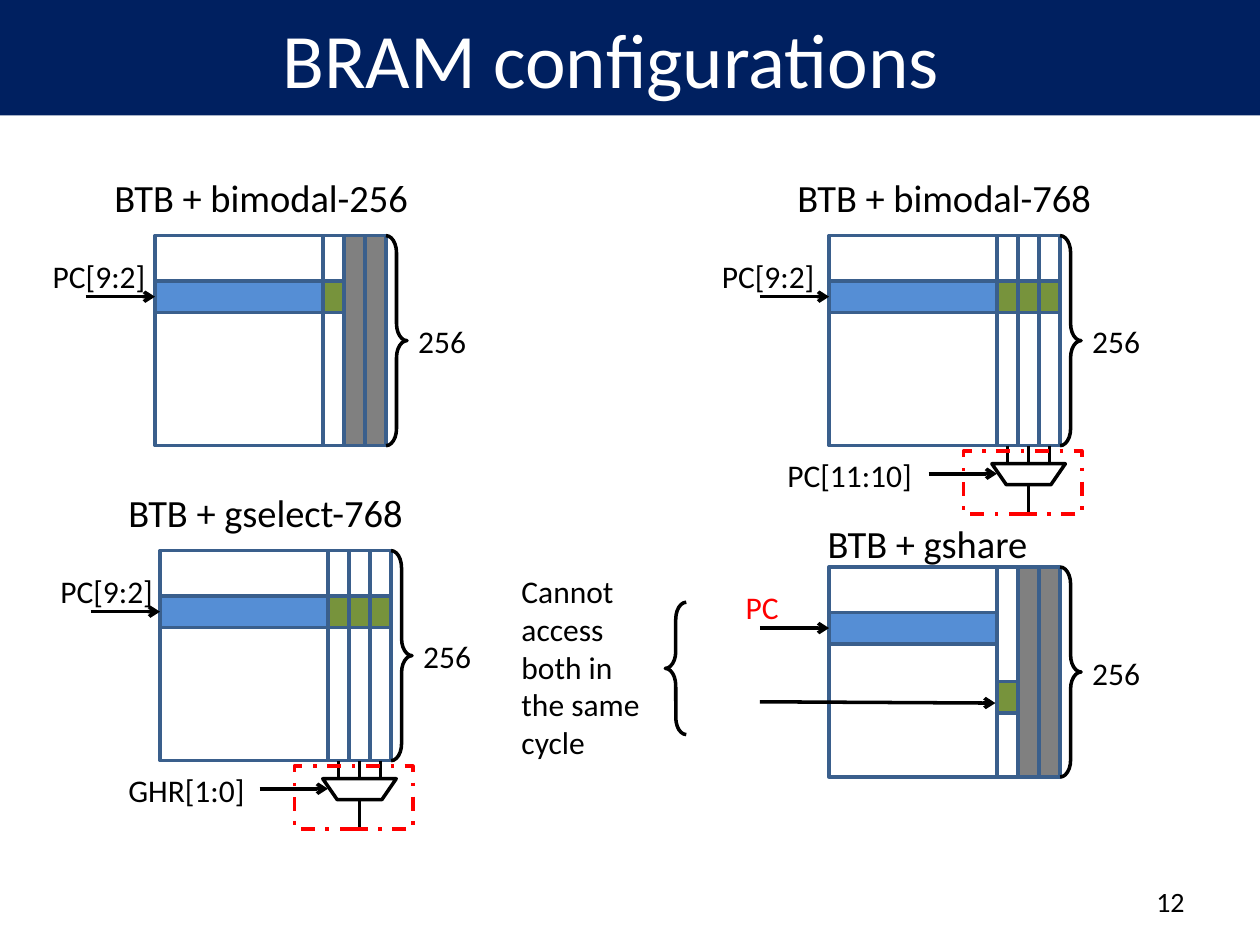
from pptx import Presentation
from pptx.dml.color import RGBColor
from pptx.enum.dml import MSO_LINE
from pptx.enum.shapes import MSO_CONNECTOR, MSO_SHAPE
from pptx.enum.text import MSO_ANCHOR, PP_ALIGN
from pptx.oxml.ns import qn
from pptx.util import Inches, Pt
from lxml import etree

RECTANGLE, BRACE, TRAPEZOID = MSO_SHAPE.RECTANGLE, MSO_SHAPE.LEFT_BRACE, MSO_SHAPE.TRAPEZOID
STRAIGHT, DASH_DOT = MSO_CONNECTOR.STRAIGHT, MSO_LINE.DASH_DOT
LEFT, CENTER, RIGHT = PP_ALIGN.LEFT, PP_ALIGN.CENTER, PP_ALIGN.RIGHT
TOP, MIDDLE = MSO_ANCHOR.TOP, MSO_ANCHOR.MIDDLE
LEFT_SIDE = 1

THEME = {
    "font": "Calibri", "title": 44, "heading": 22, "label": 18, "number": 16, "line": 2,
    "navy": "002060", "white": "FFFFFF", "black": "000000", "red": "FF0000",
    "outline": "3A5F8C", "blue": "558ED5", "green": "77933C", "gray": "808080",
}

# The slide is a grid of 60 columns by 45 rows; one counter column is one cell wide
CELL = Inches(10) / 60
DATA_COLUMNS, COUNTER_COLUMNS, MEMORY_ROWS = 8, 3, 10
MEMORY_COLUMNS = DATA_COLUMNS + COUNTER_COLUMNS
ENTRY_TOP, ENTRY_ROWS = 2.16, 1.5
ENTRY_MIDDLE = ENTRY_TOP + ENTRY_ROWS / 2
MUX_TOP, MUX_BOTTOM, MUX_END = 10.86, 11.86, 13.26

presentation = Presentation()
presentation.slide_width, presentation.slide_height = round(60 * CELL), round(45 * CELL)
slide = presentation.slides.add_slide(presentation.slide_layouts[6])


def add_block(left, top, columns, rows, fill=None, line="outline", kind=RECTANGLE,
              text="", size="label", color="black", align=LEFT, anchor=TOP):
    """Add a shape in grid units, with or without fill, line and text."""
    shape = slide.shapes.add_shape(kind, *[round(n * CELL) for n in (left, top, columns, rows)])
    shape.shadow.inherit = False
    if fill:
        shape.fill.solid()
        shape.fill.fore_color.rgb = RGBColor.from_string(THEME[fill])
    else:
        shape.fill.background()
    if line:
        shape.line.color.rgb = RGBColor.from_string(THEME[line])
        shape.line.width = Pt(THEME["line"])
    else:
        shape.line.fill.background()
    if text:
        frame = shape.text_frame
        frame.text = text
        frame.word_wrap = True
        frame.vertical_anchor = anchor
        paragraph = frame.paragraphs[0]
        paragraph.alignment = align
        paragraph.font.name = THEME["font"]
        paragraph.font.size = Pt(THEME[size])
        paragraph.font.color.rgb = RGBColor.from_string(THEME[color])
    return shape


def add_wire(start, end, arrow=False, target=None):
    """Add a black line in grid units, optionally joined to the left side of a block."""
    wire = slide.shapes.add_connector(STRAIGHT, *[round(n * CELL) for n in (*start, *end)])
    if target is not None:
        wire.end_connect(target, LEFT_SIDE)
    wire.line.color.rgb = RGBColor.from_string(THEME["black"])
    wire.line.width = Pt(THEME["line"])
    if arrow:
        etree.SubElement(wire.line._get_or_add_ln(), qn("a:tailEnd"), type="arrow")
    etree.SubElement(wire._element.spPr, qn("a:effectLst"))


# Title bar, with a wider right inset that moves the title left of centre
title = add_block(-0.12, 0, 60.12, 5.5, "navy", None, text="BRAM configurations",
                  size="title", color="white", align=CENTER, anchor=MIDDLE)
title.text_frame.margin_right = Inches(0.38)

# Memories: corner, heading and its offset, index and its offset,
# used counters, row of the counter entry, mux select and its offset
memories = [
    (7.38, 11.22, "BTB + bimodal-256", -2.52, -3.24, "PC[9:2]", -5.46, "black",
     1, ENTRY_TOP, None, 0),
    (39.48, 11.22, "BTB + bimodal-768", -2.1, -3.24, "PC[9:2]", -5.7, "black",
     3, ENTRY_TOP, "PC[11:10]", -2.58),
    (39.48, 27, "BTB + gshare", -0.66, -2.52, "PC", -4.56, "red",
     1, 5.46, None, 0),
    (7.62, 26.22, "BTB + gselect-768", -2.1, -3.24, "PC[9:2]", -5.34, "black",
     3, ENTRY_TOP, "GHR[1:0]", -2.1),
]
for (left, top, heading, heading_x, heading_y, index, index_x, index_color,
     used, counter_top, select, select_x) in memories:
    counters = left + DATA_COLUMNS

    # Outline, indexed entry and counter columns
    add_block(counters, top, 1, MEMORY_ROWS)
    add_block(left, top, MEMORY_COLUMNS, MEMORY_ROWS)
    entry = add_block(left, top + ENTRY_TOP, DATA_COLUMNS, ENTRY_ROWS, "blue")
    add_block(counters, top + counter_top, used, ENTRY_ROWS, "green")
    for column in range(1, COUNTER_COLUMNS):
        add_block(counters + column, top, 1, MEMORY_ROWS, "gray" if column >= used else None)

    # Depth brace, index arrow and labels
    brace = add_block(left + MEMORY_COLUMNS, top, 1, MEMORY_ROWS, line="black", kind=BRACE)
    brace.rotation = 180
    brace.adjustments[0] = 0.81
    add_wire((left - 3.3, top + ENTRY_MIDDLE), (left, top + ENTRY_MIDDLE), True, entry)
    add_block(left + heading_x, top + heading_y, 15.5, 2.8, line=None, text=heading, size="heading")
    add_block(left + index_x, top + 0.72, 6.2, 2.4, line=None, text=index, color=index_color)
    add_block(left + 11.94, top + 3.84, 5, 2.4, line=None, text="256")

    # Counter multiplexer with its select input
    if select:
        for column in range(COUNTER_COLUMNS):
            center = counters + column + 0.5
            add_wire((center, top + MEMORY_ROWS), (center, top + MUX_TOP))
        mux = add_block(left + 7.75, top + MUX_TOP, 3.5, MUX_BOTTOM - MUX_TOP,
                        line="black", kind=TRAPEZOID)
        mux.rotation = 180
        mux.adjustments[0] = 0.69
        add_wire((left + 9.5, top + MUX_BOTTOM), (left + 9.5, top + MUX_END))
        add_wire((left + 4.74, top + 11.34), (counters, top + 11.34), True)
        add_block(left + select_x, top + 10.2, 7.3, 2.4, line=None, text=select)
        highlight = add_block(left + 6.4, top + 10.26, 5.64, 3, line="red")
        highlight.line.dash_style = DASH_DOT

# Separate counter access of gshare and the remark beside it
add_wire((36.18, 33.42), (47.4, 33.48), True)
conflict = add_block(31.68, 28.68, 1, 6.3, line="black", kind=BRACE)
conflict.adjustments[0] = 0.81
add_block(24.24, 26.94, 7.5, 9.72, line=None, text="Cannot access both in the same cycle")

# Slide number
add_block(43, 41.7, 14, 2.4, line=None, text="12", size="number", align=RIGHT, anchor=MIDDLE)

presentation.save("out.pptx")
